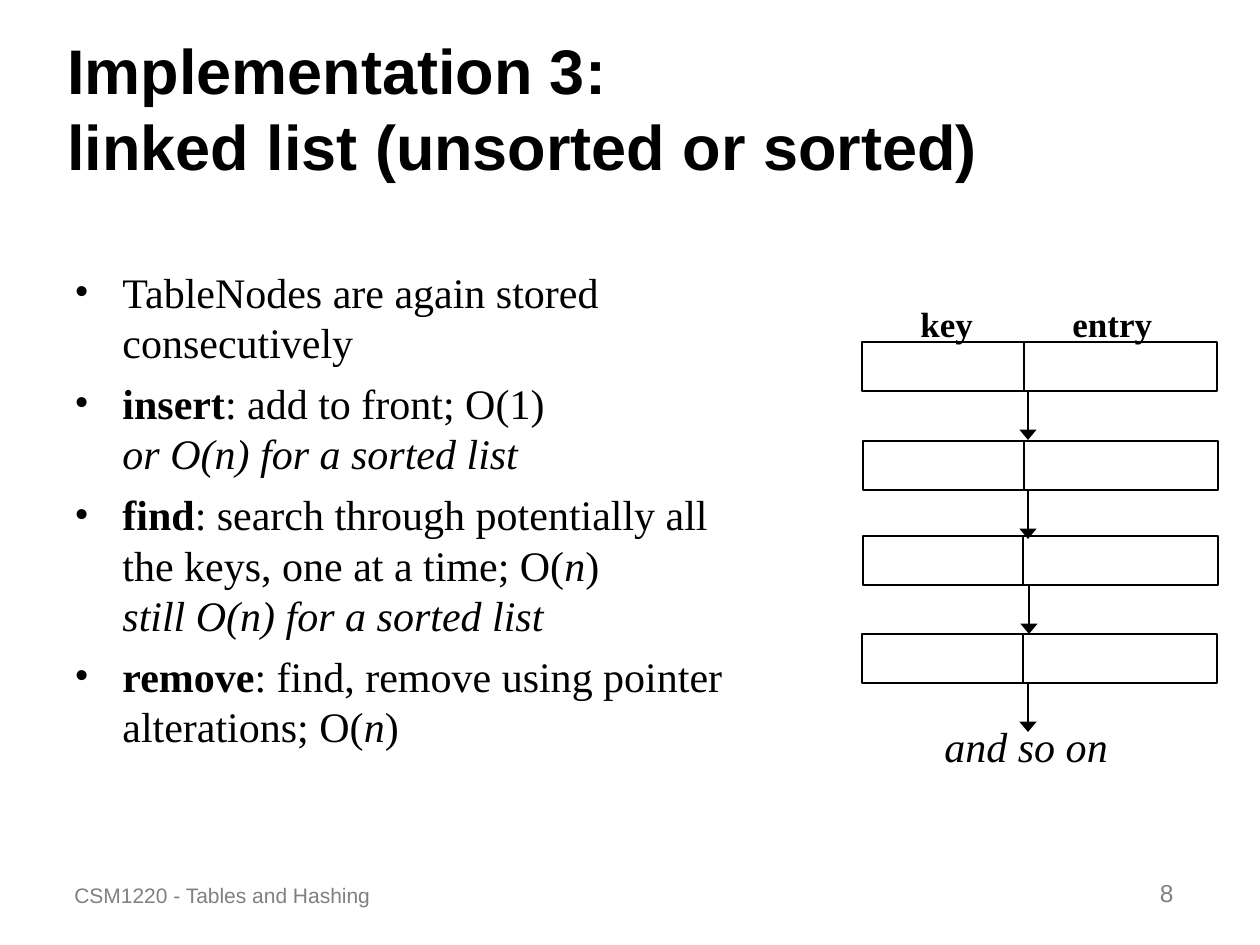
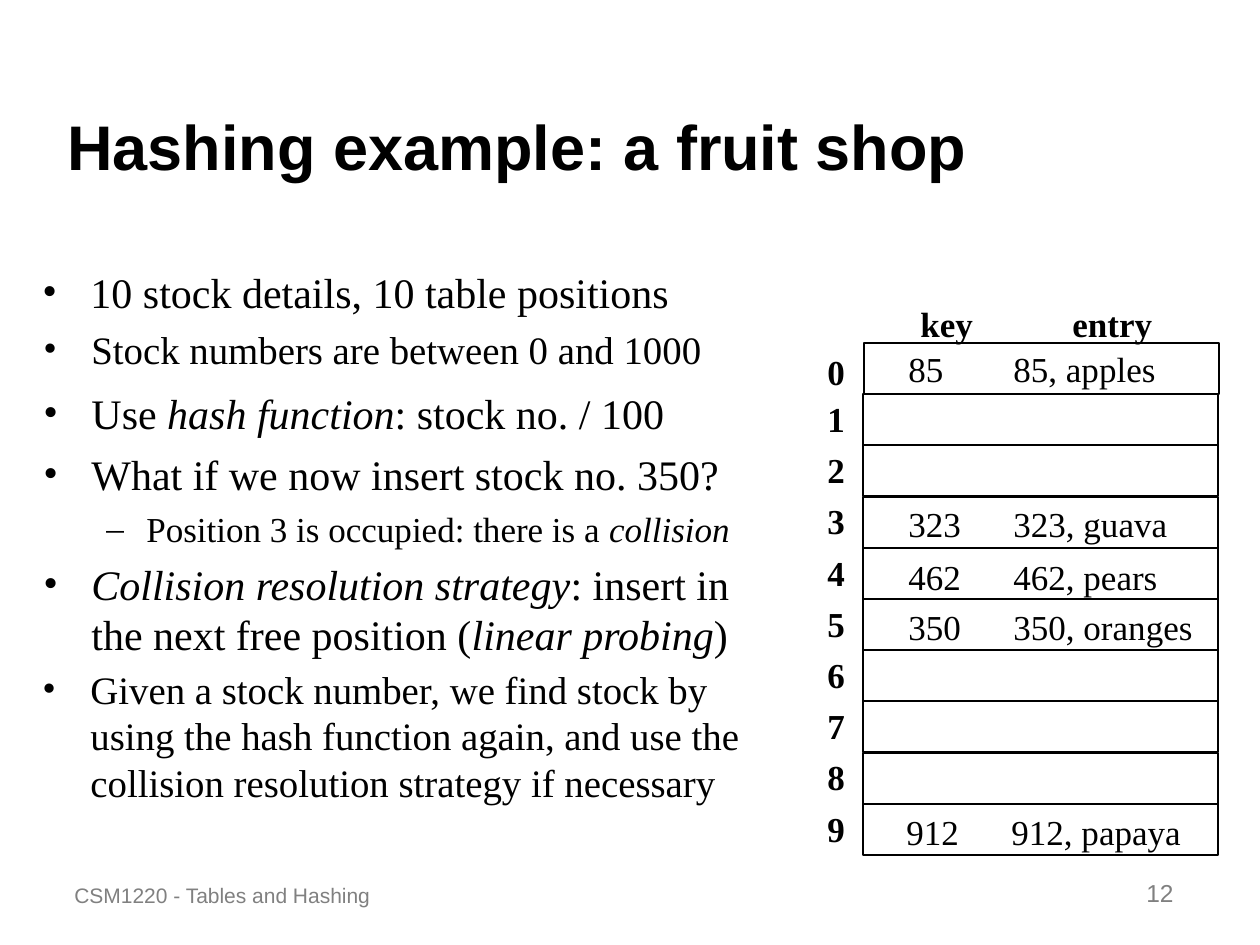
from pptx import Presentation
from pptx.dml.color import RGBColor
from pptx.enum.shapes import MSO_CONNECTOR as Con, MSO_SHAPE as Geo
from pptx.enum.text import MSO_ANCHOR as Anc, PP_ALIGN as Al
from pptx.oxml.ns import qn
from pptx.util import Pt
from lxml.etree import SubElement as Sub

PX = 914400 / 126
INK = RGBColor(0x00, 0x00, 0x00)
GRAY = RGBColor(0x80, 0x80, 0x80)
SANS, SERIF = "Arial", "Times New Roman"

HEAD = dict(name=SANS, size=Pt(36), bold=True, color=INK)
BODY = dict(name=SERIF, size=Pt(24), color=INK)
NEAR = dict(BODY, size=Pt(22.2))
CELL = dict(BODY, size=Pt(20))
BOLD = dict(CELL, bold=True)
FOOT = dict(name=SANS, size=Pt(12), color=GRAY)
PAGE = dict(FOOT, size=Pt(14))
DOT = dict(mark="•", left=48, hang=48, gap=6)
DASH = dict(mark="–", left=103, hang=40, gap=5)


def px(*nums):
    return [round(n * PX) for n in nums]


def write(slide, box, paras, look, anchor=Anc.TOP, align=Al.LEFT, list_fmt=None, tab=0):
    frame = slide.shapes.add_textbox(*px(*box)).text_frame
    frame.word_wrap = True
    frame.vertical_anchor = anchor
    for n, runs in enumerate(paras):
        para = frame.add_paragraph() if n else frame.paragraphs[0]
        para.alignment = align
        fmt, font = list_fmt, look
        if runs[0] == "sub":
            fmt, font, runs = DASH, CELL, runs[1:]
        prop = para._p.get_or_add_pPr()
        if fmt:
            if n:
                para.space_before = Pt(fmt["gap"])
            left, hang = px(fmt["left"], fmt["hang"])
            prop.set("marL", str(left))
            prop.set("indent", str(-hang))
            Sub(prop, qn("a:buFont"), typeface=SERIF)
            Sub(prop, qn("a:buChar"), char=fmt["mark"])
        if tab:
            stops = Sub(prop, qn("a:tabLst"))
            Sub(stops, qn("a:tab"), pos=str(px(tab)[0]), algn="l")
        for part in runs:
            text, style = part if isinstance(part, tuple) else (part, "")
            if text == "\n":
                para.add_line_break()
                continue
            run = para.add_run()
            run.text = text
            extra = {"b": {"bold": True}, "i": {"italic": True}}.get(style, {})
            for key, val in {**font, **extra}.items():
                if key == "color":
                    run.font.color.rgb = val
                else:
                    setattr(run.font, key, val)


deck = Presentation()
deck.slide_width, deck.slide_height = px(1260, 945)
pages = [
    (["Implementation 3:", "\n", "linked list (unsorted or sorted)"], "8"),
    (["Hashing example: a fruit shop"], "12"),
]
slides = []
for title, num in pages:
    slide = deck.slides.add_slide(deck.slide_layouts[6])
    slides.append(slide)
    write(slide, (55, 32, 1142, 157), [title], HEAD, anchor=Anc.BOTTOM)
    write(slide, (62, 851, 378, 63), [["CSM1220 - Tables and Hashing"]], FOOT, anchor=Anc.BOTTOM)
    write(slide, (924, 851, 262, 63), [[num]], PAGE, anchor=Anc.BOTTOM, align=Al.RIGHT)
    for text, left in [("key", 908), ("entry", 1060)]:
        write(slide, (left, 296, 130, 55), [[text]], BOLD)

chain, shop = slides
nodes = [(862, 342), (863, 441), (863, 536), (862, 634)]
rows = [(864 if n == 0 else 863, round(343 + 51.2 * n)) for n in range(10)]
for slide, rects, high in [(chain, nodes, 49), (shop, rows, 51)]:
    for left, top in rects:
        rect = slide.shapes.add_shape(Geo.RECTANGLE, *px(left, top, 355, high))
        rect.shadow.inherit = False
        rect.fill.background()
        rect.line.color.rgb = INK
        rect.line.width = Pt(1)

write(chain, (62, 260, 697, 575), [
    ["TableNodes are again stored consecutively"],
    [("insert", "b"), ": add to front; O(1)", "\n", ("or O(n) for a sorted list", "i")],
    [("find", "b"), ": search through potentially all the keys, one at a time; O(",
     ("n", "i"), ")", "\n", ("still O(n) for a sorted list", "i")],
    [("remove", "b"), ": find, remove using pointer alterations; O(", ("n", "i"), ")"],
], BODY, list_fmt=DOT)
write(chain, (932, 714, 230, 63), [["and so on"]], dict(BODY, italic=True))

links = []
for (left, top), split, stem in zip(nodes, (1024, 1024, 1023, 1023), (1028, 1028, 1029, 1028)):
    links.append((split, top + 49, top + 1, False))
    links.append((stem, top + 49, top + 98, True))
for x, start, end, arrow in links:
    link = chain.shapes.add_connector(Con.STRAIGHT, *px(x, start, x, end))
    link.line.color.rgb = INK
    link.line.width = Pt(1)
    if arrow:
        Sub(link.line._get_or_add_ln(), qn("a:tailEnd"), type="triangle", w="lg", len="med")
    Sub(link._element.spPr, qn("a:effectLst"))

points = [
    ((30, 260, 750, 464), BODY, [["10 stock details, 10 table positions"]]),
    ((31, 319, 750, 60), NEAR, [["Stock numbers are between 0 and 1000"]]),
    ((31, 381, 750, 72), BODY, [["Use ", ("hash function", "i"), ": stock no. / 100"]]),
    ((31, 442, 750, 135), BODY, [
        ["What if we now insert stock no. 350?"],
        ["sub", "Position 3 is occupied: there is a ", ("collision", "i")]]),
    ((31, 552, 750, 135), BODY, [
        [("Collision resolution strategy", "i"), ": insert in the next free position (",
         ("linear probing", "i"), ")"]]),
    ((30, 659, 750, 169), NEAR, [
        ["Given a stock number, we find stock by using the hash function again, "
         "and use the collision resolution strategy if necessary"]]),
]
for box, look, paras in points:
    write(shop, box, paras, look, list_fmt=DOT)

for n in range(10):
    top = round(391 + 51.2 * (n - 1)) if n else 344
    write(shop, (815, top, 48, 55), [[str(n)]], BOLD)

stock = [
    (896, 341, "85", "apples"),
    (896, 496, "323", "guava"),
    (896, 549, "462", "pears"),
    (896, 599, "350", "oranges"),
    (894, 804, "912", "papaya"),
]
for left, top, key, fruit in stock:
    write(shop, (left, top, 320, 55), [[f"{key}\t{key}, {fruit}"]], CELL, tab=105)

deck.save("out.pptx")
